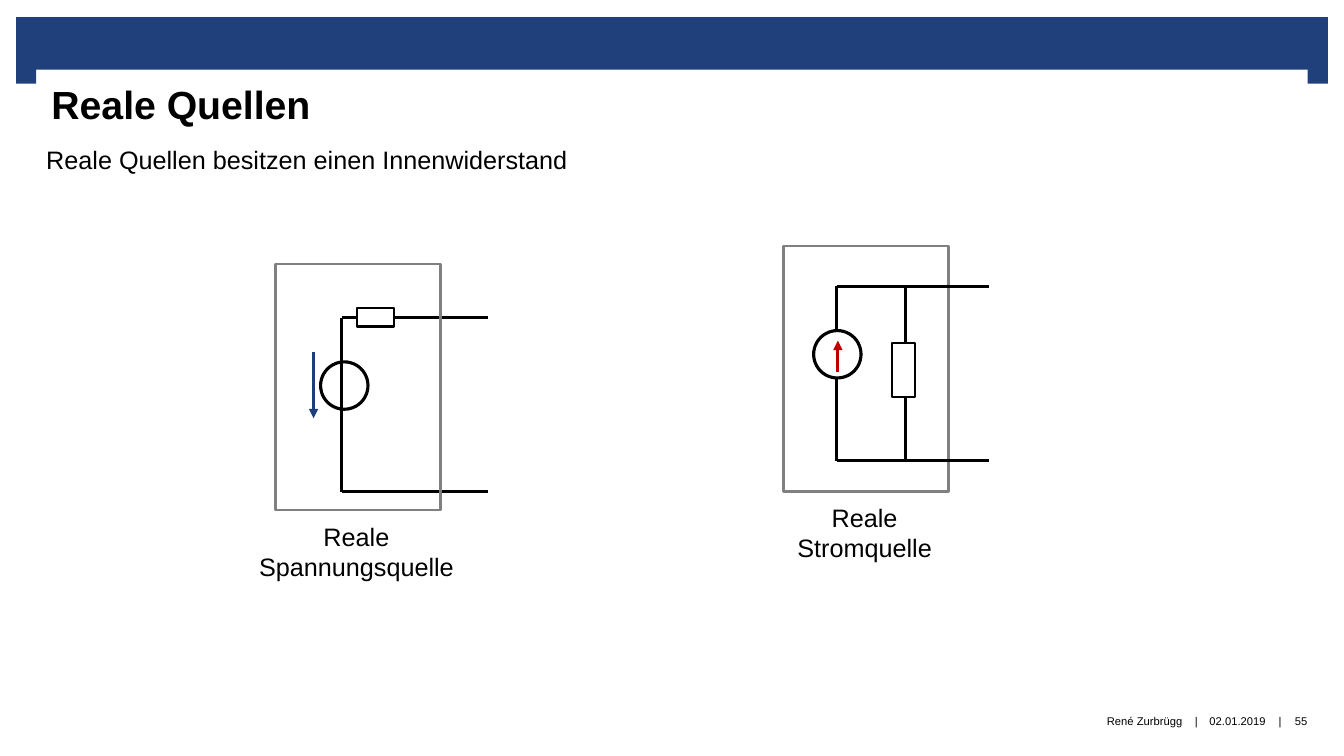
from pptx import Presentation
from pptx.dml.color import RGBColor as RGB
from pptx.enum.shapes import MSO_CONNECTOR as Conn, MSO_SHAPE as Shape
from pptx.enum.text import MSO_ANCHOR as Anchor, PP_ALIGN as Align
from pptx.oxml.ns import qn
from pptx.util import Pt
from lxml.etree import SubElement

SCALE = 9144


def px(n):
    return int(n * SCALE)


def color(code):
    return RGB.from_string(code)


class Sheet:
    font = "Arial"
    black, white, gray = "000000", "FFFFFF", "808080"
    navy, blue, red = "1F407A", "1C3E7A", "C00000"

    def __init__(self, deck):
        self.slide = deck.slides.add_slide(deck.slide_layouts[6])
        self.shapes = self.slide.shapes

    def shape(self, kind, x, y, w, h, fill=None, line=None, width=2.25):
        item = self.shapes.add_shape(kind, px(x), px(y), px(w), px(h))
        item.shadow.inherit = False
        if fill:
            item.fill.solid()
            item.fill.fore_color.rgb = color(fill)
        else:
            item.fill.background()
        if line:
            item.line.color.rgb = color(line)
            item.line.width = Pt(width)
        else:
            item.line.fill.background()

    def wire(self, x1, y1, x2, y2, line=black, arrow=False):
        item = self.shapes.add_connector(
            Conn.STRAIGHT, px(x1), px(y1), px(x2), px(y2))
        item.line.color.rgb = color(line)
        item.line.width = Pt(2.25)
        if arrow:
            SubElement(item.line._get_or_add_ln(), qn("a:tailEnd"),
                       type="triangle")
        SubElement(item._element.spPr, qn("a:effectLst"))

    def text(self, x, y, w, h, lines, size=18, bold=False, align=Align.LEFT,
             anchor=Anchor.TOP, inset=(10, 5, 10, 5), wrap=False):
        frame = self.shapes.add_textbox(
            px(x), px(y), px(w), px(h)).text_frame
        frame.word_wrap = wrap
        frame.vertical_anchor = anchor
        (frame.margin_left, frame.margin_top,
         frame.margin_right, frame.margin_bottom) = map(px, inset)
        frame.text = "\n".join(lines)
        for para in frame.paragraphs:
            para.alignment = align
            para.font.name = self.font
            para.font.size = Pt(size)
            para.font.bold = bold
            para.font.color.rgb = color(self.black)

    def footer(self, x, w, text, align=Align.CENTER):
        self.text(x, 690, w, 50, [text], 8, align=align,
                  anchor=Anchor.MIDDLE, inset=(0, 0, 0, 0))

    def loop(self, x, y, end):
        low = y + 173
        self.wire(x, low, x, y)
        for level in (y, low):
            self.wire(x, level, end, level)

    def case(self, x, y):
        self.shape(Shape.RECTANGLE, x, y, 164, 244, line=self.gray, width=2)

    def source(self, x, y, fill=None):
        self.shape(Shape.OVAL, x, y, 47, 47, fill, self.black)

    def ohm(self, x, y, w, h):
        self.shape(Shape.RECTANGLE, x, y, w, h, self.white, self.black, 1.5)

    def label(self, x, y, w, lines):
        self.text(x, y, w, 71, lines, align=Align.CENTER)


def main():
    deck = Presentation()
    deck.slide_width, deck.slide_height = px(1333), px(750)
    page = Sheet(deck)

    page.shape(Shape.RECTANGLE, 16, 17, 1301, 52, page.navy)
    for x in (16, 1297):
        page.shape(Shape.RECTANGLE, x, 65, 20, 18, page.navy)

    page.text(35, 68, 1262, 111, ["Reale Quellen"], 28, True,
              inset=(16, 12, 16, 0), wrap=True)
    page.text(36, 138, 542, 40,
              ["Reale Quellen besitzen einen Innenwiderstand"])

    page.loop(339, 315, 484)
    page.source(318, 359)
    page.wire(311, 349, 311, 415, page.blue, True)
    page.ohm(354, 306, 37, 18)
    page.case(273, 262)
    page.label(246, 512, 215, ["Reale", "Spannungsquelle"])

    page.case(777, 244)
    page.label(780, 493, 155, ["Reale", "Stromquelle"])
    page.loop(830, 284, 981)
    page.wire(898, 457, 898, 284)
    page.source(807, 328, page.white)
    page.wire(831, 369, 831, 338, page.red, True)
    page.ohm(885, 340, 23, 54)

    page.footer(666, 507, "René Zurbrügg", Align.RIGHT)
    page.footer(1194, 67, "02.01.2019")
    page.footer(1271, 39, "55")
    for x in (1179, 1262):
        page.footer(x, 15, "|")

    deck.save("out.pptx")


if __name__ == "__main__":
    main()
